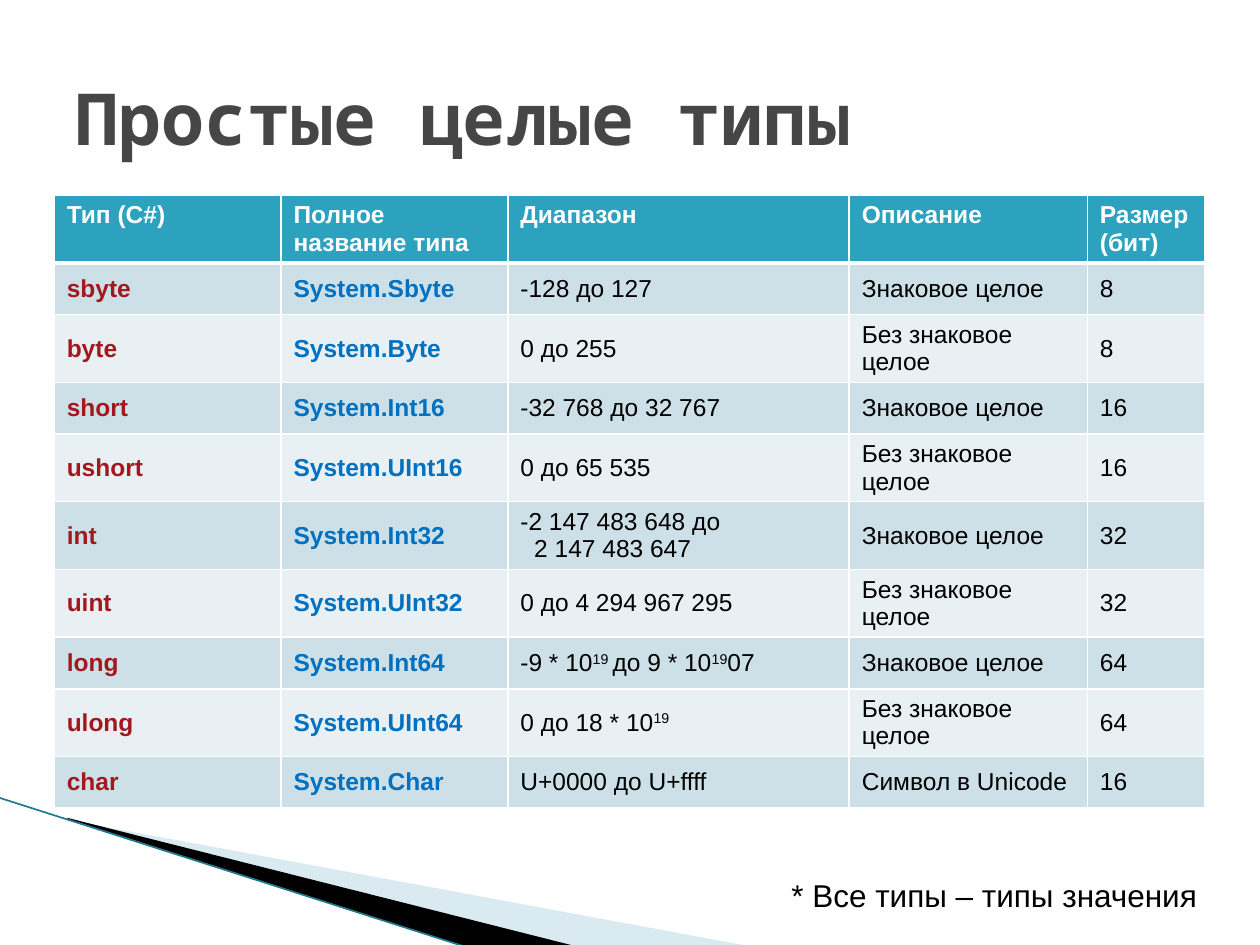
from lxml.etree import SubElement
from pptx import Presentation
from pptx.dml.color import RGBColor
from pptx.enum.shapes import MSO_CONNECTOR
from pptx.enum.text import MSO_ANCHOR, PP_ALIGN
from pptx.oxml.ns import qn
from pptx.util import Inches, Pt

COLORS = {
    "white": "FFFFFF", "black": "000000", "title": "464646",
    "header": "2DA2BF", "odd": "CDE0E8", "even": "E8F0F4",
    "keyword": "A3171E", "system": "0070C0",
    "wedge": "A0CBDC", "edge": "1F7A8C",
}
SIGNED, UNSIGNED = "Знаковое целое", "Без знаковое целое"
# Text between a pair of ^ marks is superscript; a line break starts a new paragraph.
ROWS = [
    ("Тип (С#)", "Полное название типа", "Диапазон", "Описание", "Размер (бит)"),
    ("sbyte", "System.Sbyte", "-128 до 127", SIGNED, "8"),
    ("byte", "System.Byte", "0 до 255", UNSIGNED, "8"),
    ("short", "System.Int16", "-32 768 до 32 767", SIGNED, "16"),
    ("ushort", "System.UInt16", "0 до 65 535", UNSIGNED, "16"),
    ("int", "System.Int32", "-2 147 483 648 до\n2 147 483 647", SIGNED, "32"),
    ("uint", "System.UInt32", "0 до 4 294 967 295", UNSIGNED, "32"),
    ("long", "System.Int64", "-9 * 10^19 ^до 9 * 10^19^07", SIGNED, "64"),
    ("ulong", "System.UInt64", "0 до 18 * 10^19^", UNSIGNED, "64"),
    ("char", "System.Char", "U+0000 до U+ffff", "Символ в Unicode", "16"),
]
COLUMN_WIDTHS = [1.8, 1.8, 2.71, 1.89, 0.93]
ROW_HEIGHT = 0.41


def write_text(paragraph, text, color, **format_values):
    """Add runs to the paragraph, raising the parts between ^ marks."""
    for index, part in enumerate(text.split("^")):
        if not part:
            continue
        run = paragraph.add_run()
        run.text = part
        run.font.color.rgb = RGBColor.from_string(COLORS[color])
        for name, value in format_values.items():
            setattr(run.font, name, value)
        if index % 2:
            run.font._element.set("baseline", "30000")


def add_border(cell, side, points):
    line = SubElement(cell._tc.get_or_add_tcPr(), qn(f"a:ln{side}"), w=str(Pt(points)))
    SubElement(SubElement(line, qn("a:solidFill")), qn("a:srgbClr"), val=COLORS["white"])


presentation = Presentation()
presentation.slide_width, presentation.slide_height = Inches(10), Inches(7.5)
slide = presentation.slides.add_slide(presentation.slide_layouts[6])

# Corner decoration
wedges = [
    ("wedge", 40, [(0.55, 6.51), (5.95, 7.51), (4.56, 7.51), (0.55, 6.5)]),
    ("black", 100, [(0.53, 6.49), (4.57, 7.51), (3.72, 7.52), (0.54, 6.5)]),
]
for color, opacity, points in wedges:
    corners = [(Inches(x), Inches(y)) for x, y in points]
    builder = slide.shapes.build_freeform(*corners[0])
    builder.add_line_segments(corners[1:], close=True)
    wedge = builder.convert_to_shape()
    wedge.shadow.inherit = False
    wedge.line.fill.background()
    wedge.fill.solid()
    wedge.fill.fore_color.rgb = RGBColor.from_string(COLORS[color])
    if opacity < 100:
        fill_color = wedge._element.spPr.find(qn("a:solidFill"))[0]
        SubElement(fill_color, qn("a:alpha"), val=str(opacity * 1000))

edge = slide.shapes.add_connector(
    MSO_CONNECTOR.STRAIGHT, Inches(-0.01), Inches(6.33), Inches(3.71), Inches(7.52))
edge.line.color.rgb = RGBColor.from_string(COLORS["edge"])
edge.line.width = Pt(0.95)
SubElement(edge._element.spPr, qn("a:effectLst"))

# Table of integer types
table = slide.shapes.add_table(
    len(ROWS), len(COLUMN_WIDTHS), Inches(0.43), Inches(1.55),
    Inches(sum(COLUMN_WIDTHS)), Inches(ROW_HEIGHT * len(ROWS))).table
for column, width in zip(table.columns, COLUMN_WIDTHS):
    column.width = Inches(width)
for row_index, values in enumerate(ROWS):
    table.rows[row_index].height = Inches(ROW_HEIGHT)
    is_header = row_index == 0
    fill = "header" if is_header else "odd" if row_index % 2 else "even"
    for column_index, value in enumerate(values):
        cell = table.cell(row_index, column_index)
        cell.vertical_anchor = MSO_ANCHOR.TOP if is_header else MSO_ANCHOR.MIDDLE
        borders = {"L": 1, "R": 1, "T": 3 if row_index == 1 else 1, "B": 3 if is_header else 1}
        for side, points in borders.items():
            add_border(cell, side, points)
        cell.fill.solid()
        cell.fill.fore_color.rgb = RGBColor.from_string(COLORS[fill])
        color = "white" if is_header else ("keyword", "system", "black", "black", "black")[column_index]
        for line_index, line in enumerate(value.split("\n")):
            frame = cell.text_frame
            paragraph = frame.add_paragraph() if line_index else frame.paragraphs[0]
            if line_index:
                paragraph._p.get_or_add_pPr().set("marL", str(Inches(0.11)))
            write_text(paragraph, line, color, size=Pt(14), name="Arial", bold=color != "black")

# Title and footnote
texts = [
    ("Простые целые типы", (0.5, 0.3, 9, 1.25), MSO_ANCHOR.MIDDLE, PP_ALIGN.LEFT, "title",
     {"size": Pt(41), "name": "Noto Sans Mono", "bold": True}),
    ("* Все типы – типы значения", (5.24, 6.9, 4.36, 0.4), MSO_ANCHOR.TOP, PP_ALIGN.RIGHT, "black",
     {"size": Pt(18), "name": "Arial"}),
]
for text, box, anchor, alignment, color, format_values in texts:
    frame = slide.shapes.add_textbox(*map(Inches, box)).text_frame
    frame.word_wrap = True
    frame.vertical_anchor = anchor
    frame.paragraphs[0].alignment = alignment
    write_text(frame.paragraphs[0], text, color, **format_values)

presentation.save("out.pptx")
